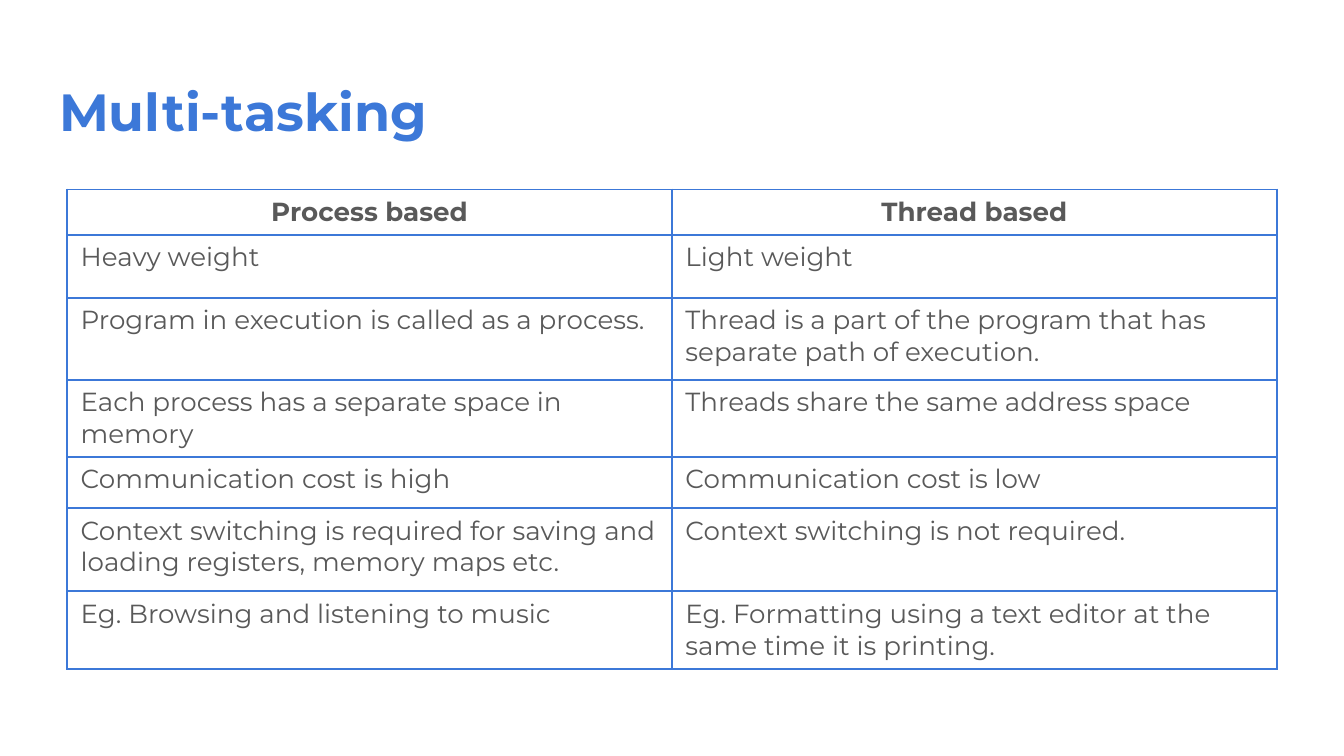
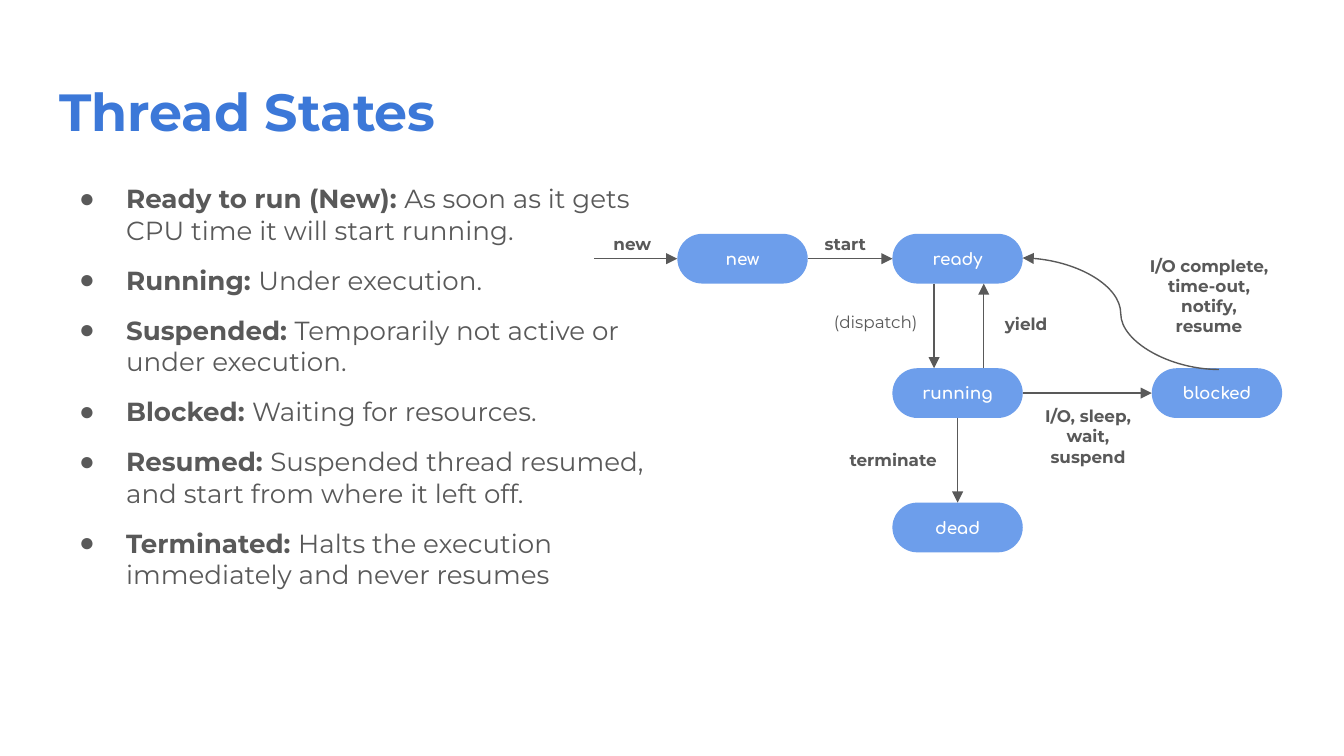
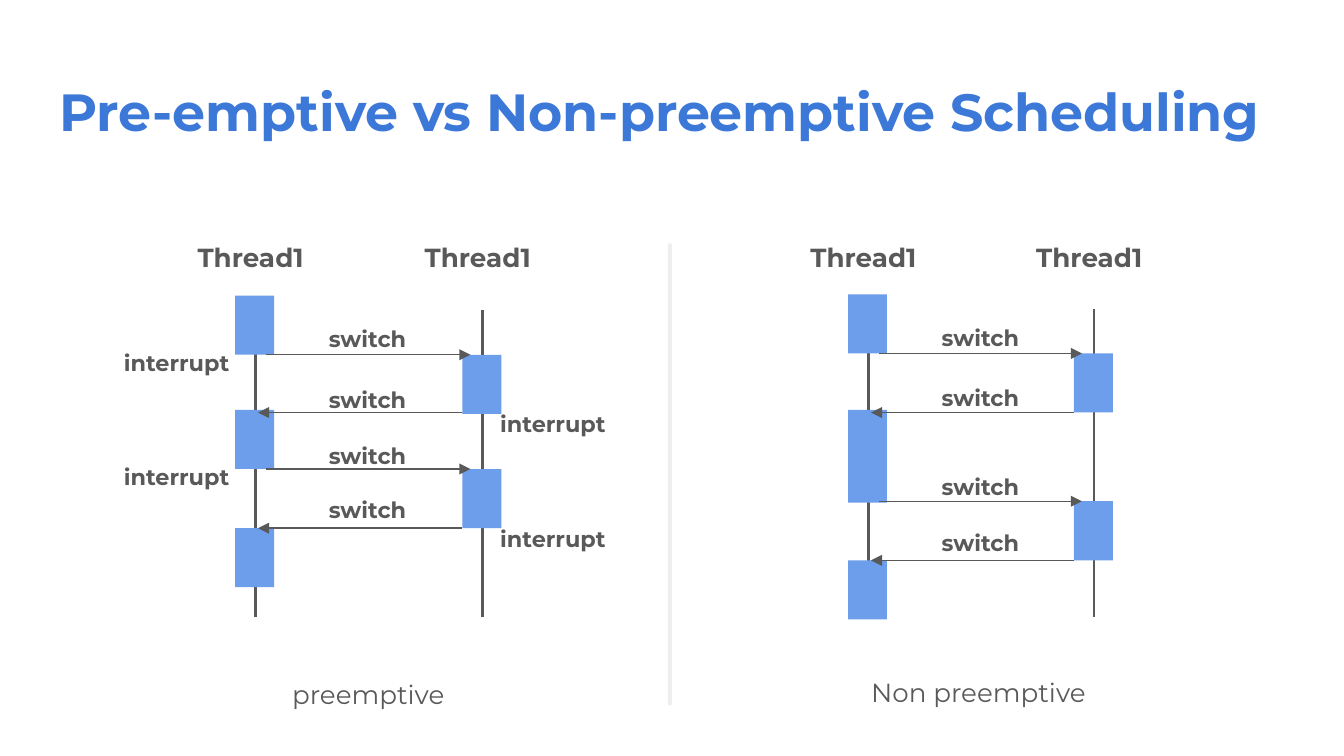
from dataclasses import dataclass
from itertools import pairwise
from typing import NamedTuple

from lxml.etree import Element, SubElement
from pptx import Presentation
from pptx.dml.color import RGBColor
from pptx.enum.shapes import MSO_CONNECTOR, MSO_SHAPE
from pptx.enum.text import MSO_ANCHOR, MSO_AUTO_SIZE, PP_ALIGN
from pptx.oxml.ns import qn
from pptx.util import Inches, Pt

TITLE_BLUE = "3C78D8"
SHAPE_BLUE = "6D9EEB"
GRAY = "595959"
PALE_GRAY = "EEEEEE"
WHITE = "FFFFFF"
BODY_FONT = "Montserrat"
STATE_FONT = "Comfortaa"
BULLET_FONT = "Arial"
TOP, LEFT, BOTTOM, RIGHT = range(4)


class Label(NamedTuple):
    text: str
    left: float
    top: float
    width: float
    height: float
    bold: bool = True


class State(NamedTuple):
    name: str
    left: float
    top: float


class Burst(NamedTuple):
    lane: int
    top: float
    height: float = 0.44


class Switch(NamedTuple):
    level: float
    label_top: float


@dataclass
class Schedule:
    lanes: tuple[float, float]
    caption: Label
    line_top: float
    bursts: list[Burst]
    switches: list[Switch]
    interrupted: bool


COMPARISON = [
    ("Process based", "Thread based"),
    ("Heavy weight", "Light weight"),
    ("Program in execution is called as a process.",
     "Thread is a part of the program that has separate path of execution."),
    ("Each process has a separate space in memory", "Threads share the same address space"),
    ("Communication cost is high", "Communication cost is low"),
    ("Context switching is required for saving and loading registers, memory maps etc.",
     "Context switching is not required."),
    ("Eg. Browsing and listening to music\t",
     "Eg. Formatting using a text editor at the same time it is printing."),
]
ROW_HEIGHTS = [0.32, 0.47, 0.61, 0.37, 0.38, 0.62, 0.58]

DEFINITIONS = [
    ("Ready to run (New): ", "As soon as it gets CPU time it will start running."),
    ("Running: ", "Under execution."),
    ("Suspended: ", "Temporarily not active or under execution."),
    ("Blocked: ", "Waiting for resources."),
    ("Resumed: ", "Suspended thread resumed, and start from where it left off."),
    ("Terminated: ", "Halts the execution immediately and never resumes"),
]
STATE_WIDTH, STATE_HEIGHT = 0.97, 0.37
STATES = [
    State("new", 5.04, 1.74),
    State("ready", 6.64, 1.74),
    State("running", 6.64, 2.74),
    State("blocked", 8.57, 2.74),
    State("dead", 6.64, 3.74),
]
TRANSITION_LABELS = [
    Label("new", 4.46, 1.66, 0.49, 0.35),
    Label("start", 6.01, 1.66, 0.56, 0.35),
    Label("(dispatch)", 6.08, 2.24, 0.87, 0.35, bold=False),
    Label("yield", 7.32, 2.26, 0.63, 0.35),
    Label("terminate", 6.19, 3.27, 0.91, 0.35),
    Label("I/O, sleep, wait, suspend", 7.55, 2.92, 1.09, 0.5),
    Label("I/O complete, time-out, notify, resume", 8.44, 1.8, 1.11, 0.81),
]

BURST_WIDTH = 0.29
SCHEDULES = [
    Schedule(
        (1.75, 3.44), Label("preemptive", 1.93, 4.95, 1.62, 0.44, bold=False), 2.31,
        [Burst(0, 2.2), Burst(1, 2.64), Burst(0, 3.05), Burst(1, 3.49), Burst(0, 3.93)],
        [Switch(2.64, 2.32), Switch(3.07, 2.77), Switch(3.49, 3.19), Switch(3.93, 3.59)],
        interrupted=True,
    ),
    Schedule(
        (6.31, 7.99), Label("Non preemptive", 6.29, 4.93, 1.98, 0.44, bold=False), 2.3,
        [Burst(0, 2.19), Burst(1, 2.63), Burst(0, 3.05, 0.69), Burst(1, 3.73), Burst(0, 4.17)],
        [Switch(2.63, 2.31), Switch(3.07, 2.76), Switch(3.73, 3.42), Switch(4.17, 3.84)],
        interrupted=False,
    ),
]


def rgb(color: str) -> RGBColor:
    return RGBColor.from_string(color)


def add_text(paragraph, text: str, *, size: float = 14, font: str = BODY_FONT,
             color: str = GRAY, bold: bool = False, align=PP_ALIGN.CENTER) -> None:
    paragraph.alignment = align
    run = paragraph.add_run()
    run.text = text
    run.font.name = font
    run.font.size = Pt(size)
    run.font.bold = bold
    run.font.color.rgb = rgb(color)


def set_frame(frame, anchor=MSO_ANCHOR.TOP, auto_size=MSO_AUTO_SIZE.NONE) -> None:
    frame.word_wrap = True
    frame.auto_size = auto_size
    frame.vertical_anchor = anchor
    frame.margin_left = frame.margin_right = Inches(0.1)
    frame.margin_top = frame.margin_bottom = Inches(0.1)


def add_titled_slide(presentation, text: str):
    slide = presentation.slides.add_slide(presentation.slide_layouts[5])
    title = slide.shapes.title
    title.left, title.top = Inches(0.34), Inches(0.49)
    title.width, title.height = Inches(9.32), Inches(0.63)
    set_frame(title.text_frame)
    add_text(title.text_frame.paragraphs[0], text, size=28, color=TITLE_BLUE,
             bold=True, align=PP_ALIGN.LEFT)
    return slide


def add_label(slide, label: Label, size: float) -> None:
    box = slide.shapes.add_textbox(Inches(label.left), Inches(label.top),
                                   Inches(label.width), Inches(label.height))
    set_frame(box.text_frame, auto_size=MSO_AUTO_SIZE.SHAPE_TO_FIT_TEXT)
    add_text(box.text_frame.paragraphs[0], label.text, size=size, bold=label.bold)


def add_block(slide, kind, left: float, top: float, width: float, height: float,
              color: str = SHAPE_BLUE):
    shape = slide.shapes.add_shape(kind, Inches(left), Inches(top),
                                   Inches(width), Inches(height))
    if kind == MSO_SHAPE.ROUNDED_RECTANGLE:
        shape.adjustments[0] = 0.5
    shape.shadow.inherit = False
    shape.fill.solid()
    shape.fill.fore_color.rgb = rgb(color)
    shape.line.fill.background()
    return shape


def add_line(slide, start: tuple[float, float], end: tuple[float, float], *,
             width: float = 0.75, arrow: bool = True, kind=MSO_CONNECTOR.STRAIGHT):
    connector = slide.shapes.add_connector(kind, *map(Inches, start), *map(Inches, end))
    connector.line.color.rgb = rgb(GRAY)
    connector.line.width = Pt(width)
    properties = connector._element.spPr
    if arrow:
        SubElement(properties.find(qn("a:ln")), qn("a:tailEnd"), type="triangle")
    SubElement(properties, qn("a:effectLst"))
    return connector


def join(slide, first, first_side: int, second, second_side: int) -> None:
    connector = add_line(slide, (0, 0), (1, 1))
    connector.begin_connect(first, first_side)
    connector.end_connect(second, second_side)


def set_borders(cell, color: str, width: float) -> None:
    properties = cell._tc.get_or_add_tcPr()
    for position, side in enumerate(("lnL", "lnR", "lnT", "lnB")):
        border = Element(qn(f"a:{side}"), w=str(Pt(width)))
        fill = SubElement(border, qn("a:solidFill"))
        SubElement(fill, qn("a:srgbClr"), val=color)
        properties.insert(position, border)


def build_comparison(presentation) -> None:
    slide = add_titled_slide(presentation, "Multi-tasking")
    table = slide.shapes.add_table(len(COMPARISON), 2, Inches(0.5), Inches(1.41),
                                   Inches(9), Inches(sum(ROW_HEIGHTS))).table
    table.first_row = table.horz_banding = False
    for row_index, (texts, height) in enumerate(zip(COMPARISON, ROW_HEIGHTS)):
        table.rows[row_index].height = Inches(height)
        header = row_index == 0
        for column_index, text in enumerate(texts):
            cell = table.cell(row_index, column_index)
            cell.fill.background()
            set_borders(cell, TITLE_BLUE, 1)
            add_text(cell.text_frame.paragraphs[0], text, bold=header,
                     align=PP_ALIGN.CENTER if header else PP_ALIGN.LEFT)


def add_bullet(paragraph) -> None:
    properties = paragraph._p.get_or_add_pPr()
    properties.set("marL", str(Inches(0.5)))
    properties.set("indent", str(Inches(-0.35)))
    color = SubElement(properties, qn("a:buClr"))
    SubElement(color, qn("a:srgbClr"), val=GRAY)
    SubElement(properties, qn("a:buFont"), typeface=BULLET_FONT)
    SubElement(properties, qn("a:buChar"), char="●")


def add_definitions(slide) -> None:
    box = slide.shapes.add_textbox(Inches(0.34), Inches(1.26), Inches(4.66), Inches(3.74))
    frame = box.text_frame
    set_frame(frame)
    for index, (term, meaning) in enumerate(DEFINITIONS):
        paragraph = frame.add_paragraph() if index else frame.paragraphs[0]
        paragraph.space_before = Pt(10 if index else 0)
        add_bullet(paragraph)
        add_text(paragraph, term, bold=True, align=PP_ALIGN.LEFT)
        add_text(paragraph, meaning, align=PP_ALIGN.LEFT)


def add_state(slide, state: State):
    shape = add_block(slide, MSO_SHAPE.ROUNDED_RECTANGLE, state.left, state.top,
                      STATE_WIDTH, STATE_HEIGHT)
    set_frame(shape.text_frame, anchor=MSO_ANCHOR.MIDDLE)
    add_text(shape.text_frame.paragraphs[0], state.name, size=9, font=STATE_FONT,
             color=WHITE, bold=True)
    return shape


def build_states(presentation) -> None:
    slide = add_titled_slide(presentation, "Thread States")
    add_definitions(slide)
    shapes = {state.name: add_state(slide, state) for state in STATES}
    join(slide, shapes["new"], RIGHT, shapes["ready"], LEFT)
    join(slide, shapes["running"], BOTTOM, shapes["dead"], TOP)
    join(slide, shapes["running"], RIGHT, shapes["blocked"], LEFT)
    add_line(slide, (9.07, 2.75), (7.61, 1.92), kind=MSO_CONNECTOR.CURVE)
    add_line(slide, (6.95, 2.11), (6.95, 2.74))
    add_line(slide, (7.32, 2.74), (7.32, 2.11))
    entry_level = STATES[0].top + STATE_HEIGHT / 2
    entry = add_line(slide, (4.42, entry_level), (STATES[0].left, entry_level))
    entry.end_connect(shapes["new"], LEFT)
    for label in TRANSITION_LABELS:
        add_label(slide, label, 9)


def add_schedule(slide, schedule: Schedule) -> None:
    lanes = schedule.lanes
    for lane in lanes:
        add_label(slide, Label("Thread1", lane - 0.4, 1.7, 1.03, 0.44), 14)
        add_line(slide, (lane + 0.15, 4.59), (lane + 0.15, schedule.line_top),
                 width=1.5, arrow=False)
    for burst in schedule.bursts:
        add_block(slide, MSO_SHAPE.RECTANGLE, lanes[burst.lane], burst.top,
                  BURST_WIDTH, burst.height)
    for switch, (source, target) in zip(schedule.switches, pairwise(schedule.bursts)):
        forward = source.lane < target.lane
        start = lanes[source.lane] + (0.23 if forward else 0)
        end = lanes[target.lane] + (0.06 if forward else 0.17)
        add_line(slide, (start, switch.level), (end, switch.level))
        add_label(slide, Label("switch", lanes[0] + 0.47, switch.label_top, 1.03, 0.4), 12)
        if schedule.interrupted:
            left = lanes[source.lane] + (-0.95 if forward else 0.16)
            top = switch.level - (0.14 if forward else 0.12)
            add_label(slide, Label("interrupt", left, top, 1.03, 0.4), 12)
    add_label(slide, schedule.caption, 14)


def build_scheduling(presentation) -> None:
    slide = add_titled_slide(presentation, "Pre-emptive vs Non-preemptive Scheduling")
    for schedule in SCHEDULES:
        add_schedule(slide, schedule)
    add_block(slide, MSO_SHAPE.ROUNDED_RECTANGLE, 4.97, 1.81, 0.03, 3.44, PALE_GRAY)


def main() -> None:
    presentation = Presentation()
    presentation.slide_width = Inches(10)
    presentation.slide_height = Inches(10 * 9 / 16)
    build_comparison(presentation)
    build_states(presentation)
    build_scheduling(presentation)
    presentation.save("out.pptx")


if __name__ == "__main__":
    main()
